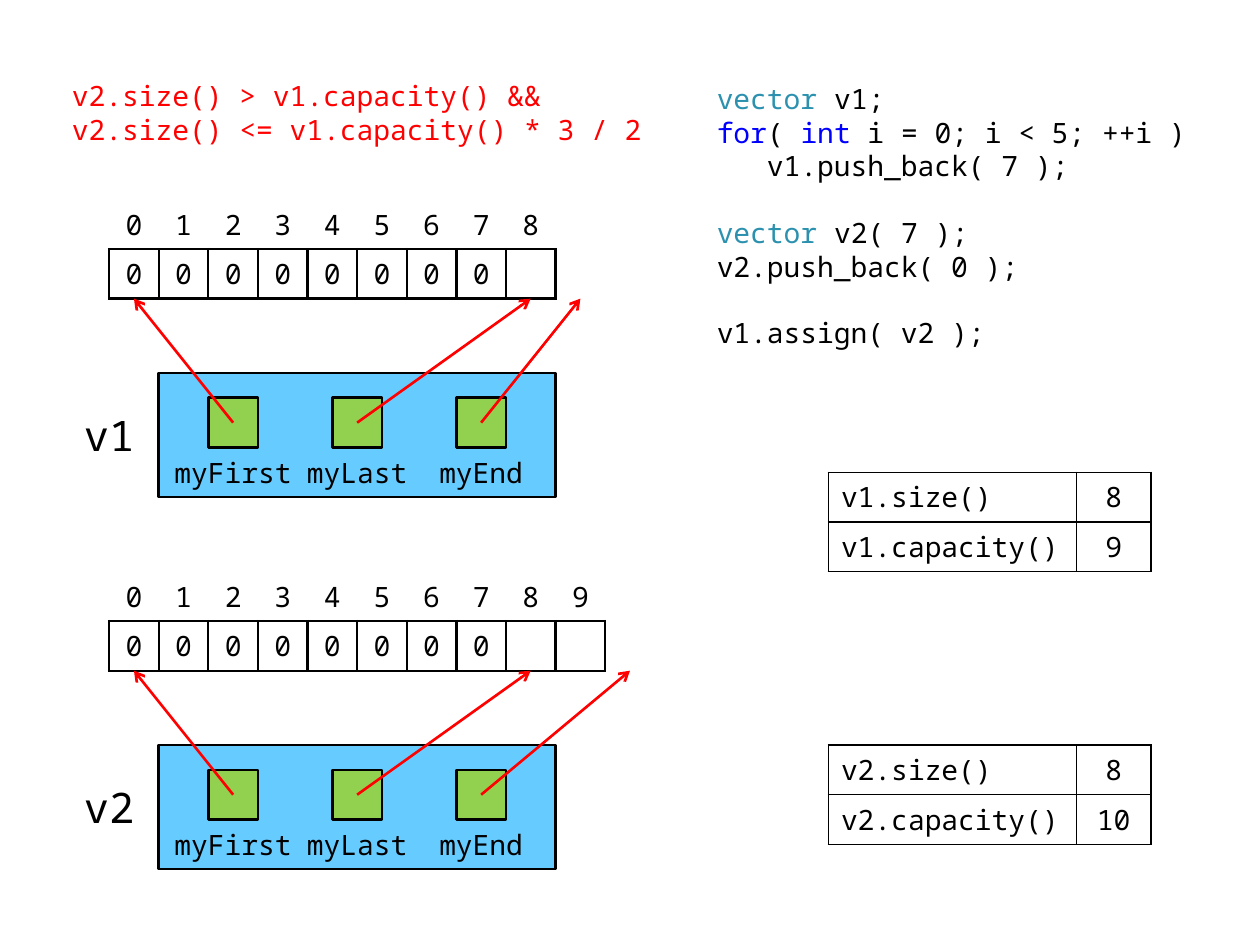
from collections import namedtuple

from pptx import Presentation
from pptx.dml.color import RGBColor
from pptx.enum.shapes import MSO_CONNECTOR as Connector, MSO_SHAPE as Preset
from pptx.enum.text import MSO_ANCHOR as Anchor, PP_ALIGN as Align
from pptx.oxml import parse_xml
from pptx.oxml.ns import nsdecls
from pptx.oxml.xmlchemy import OxmlElement
from pptx.util import Cm, Inches, Pt

BLACK = RGBColor(0x00, 0x00, 0x00)
RED = RGBColor(0xFF, 0x00, 0x00)
BLUE = RGBColor(0x00, 0x00, 0xFF)
TEAL = RGBColor(0x2B, 0x91, 0xAF)
SKY = RGBColor(0x66, 0xCC, 0xFF)
GREEN = RGBColor(0x92, 0xD0, 0x50)

FONT = "Noto Sans Mono"
TEXT_SIZE = 16
NAME_SIZE = 24
CODE_GAP = 19
LINE_WIDTH = 1.5
GRID_LEFT, GRID_TOP = 0.2, 0.02
NO_STYLE = "{2D5ABB26-0587-4C30-8999-92F81FD0307C}"
POINTERS = ("myFirst", "myLast", "myEnd")

Box = namedtuple("Box", "column row columns rows")


def point(column, row):
    return Cm(GRID_LEFT + column), Cm(GRID_TOP + row)


def place(box):
    return *point(box.column, box.row), Cm(box.columns), Cm(box.rows)


def add_span(para, text, color=BLACK, size=TEXT_SIZE):
    span = para.add_run()
    span.text = text
    span.font.name = FONT
    span.font.size = Pt(size)
    span.font.color.rgb = color


def add_text(page, box, lines, anchor=Anchor.MIDDLE, align=Align.LEFT, size=TEXT_SIZE):
    frame = page.shapes.add_textbox(*place(box)).text_frame
    frame.word_wrap = True
    frame.vertical_anchor = anchor
    for index, (gap, spans) in enumerate(lines):
        para = frame.paragraphs[0] if index == 0 else frame.add_paragraph()
        para.alignment = align
        if gap:
            para.space_before = Pt(gap)
        for text, color in spans:
            add_span(para, text, color, size)


def add_block(page, box, preset, fill=None, label=""):
    shape = page.shapes.add_shape(preset, *place(box))
    shape.shadow.inherit = False
    if fill is None:
        shape.fill.background()
        shape.line.fill.background()
    else:
        shape.fill.solid()
        shape.fill.fore_color.rgb = fill
        shape.line.color.rgb = BLACK
        shape.line.width = Pt(LINE_WIDTH)
    if label:
        shape.text_frame.vertical_anchor = Anchor.MIDDLE
        para = shape.text_frame.paragraphs[0]
        para.alignment = Align.CENTER
        add_span(para, label)


def add_arrow(page, start, end):
    arrow = page.shapes.add_connector(Connector.STRAIGHT, *point(*start), *point(*end))
    arrow.line.color.rgb = RED
    arrow.line.width = Pt(LINE_WIDTH)
    tail = OxmlElement("a:tailEnd")
    tail.set("type", "arrow")
    arrow.line._get_or_add_ln().append(tail)
    arrow._element.spPr.append(OxmlElement("a:effectLst"))


def set_borders(cell, sides, width):
    properties = cell._tc.get_or_add_tcPr()
    for side in sides:
        properties.append(parse_xml(
            f'<a:ln{side} {nsdecls("a")} w="{Pt(width)}"><a:solidFill>'
            f'<a:srgbClr val="{BLACK}"/></a:solidFill></a:ln{side}>'))


def add_grid(page, box, widths, rows, margin):
    table = page.shapes.add_table(len(rows), len(widths), *place(box)).table
    table.first_row = table.horz_banding = False
    table._tbl.tblPr.find("{*}tableStyleId").text = NO_STYLE
    for column, width in zip(table.columns, widths):
        column.width = Cm(width)
    for row, (texts, aligns, sides, width) in enumerate(rows):
        table.rows[row].height = Cm(box.rows / len(rows))
        for column, (text, align) in enumerate(zip(texts, aligns)):
            cell = table.cell(row, column)
            cell.margin_left = cell.margin_right = Inches(margin)
            cell.margin_top = cell.margin_bottom = Inches(0.04)
            cell.vertical_anchor = Anchor.MIDDLE
            set_borders(cell, sides, width)
            cell.fill.background()
            para = cell.text_frame.paragraphs[0]
            para.alignment = align
            if text:
                add_span(para, text)


def add_vector(page, box, name, size, capacity):
    left, top = box.column, box.row
    indexes = [str(index) for index in range(capacity)]
    values = ["0"] * size + [""] * (capacity - size)
    centred = [Align.CENTER] * capacity
    add_grid(page, Box(left + 1, top, capacity, 2), [1] * capacity,
             [(indexes, centred, "B", LINE_WIDTH),
              (values, centred, "LRTB", LINE_WIDTH)], 0.06)
    add_text(page, Box(left, top + 4, 2, 1.5), [(0, [(name, BLACK)])],
             align=Align.CENTER, size=NAME_SIZE)
    add_block(page, Box(left + 2, top + 3.5, 8, 2.5), Preset.FLOWCHART_PROCESS, SKY)
    for order, (label, target) in enumerate(zip(POINTERS, (0, size, capacity))):
        column = left + 2 + 2.5 * order
        add_block(page, Box(column, top + 5, 3, 1), Preset.FLOWCHART_PROCESS, label=label)
        add_block(page, Box(column + 1, top + 4, 1, 1), Preset.RECTANGLE, GREEN)
        add_arrow(page, (column + 1.5, top + 4.5), (left + 1.5 + target, top + 2))


def add_facts(page, box, name, size, capacity):
    aligns = [Align.LEFT, Align.CENTER]
    facts = (("size", size), ("capacity", capacity))
    rows = [((f"{name}.{method}()", str(value)), aligns, "LRTB", 1)
            for method, value in facts]
    add_grid(page, box, [5, 1.5], rows, 0.1)


def add_condition(page, box):
    add_text(page, box, [
        (0, [("v2.size() > v1.capacity() &&", RED)]),
        (0, [("v2.size() <= v1.capacity() * 3 / 2", RED)]),
    ])


def add_code(page, box):
    add_text(page, box, [
        (0, [("vector ", TEAL), ("v1;", BLACK)]),
        (0, [("for", BLUE), ("( ", BLACK), ("int", BLUE),
             (" i = 0; i < 5; ++i )", BLACK)]),
        (0, [("   v1.push_back( 7 );", BLACK)]),
        (CODE_GAP, [("vector ", TEAL), ("v2( 7 );", BLACK)]),
        (0, [("v2.push_back( 0 );", BLACK)]),
        (CODE_GAP, [("v1.assign( v2 );", BLACK)]),
    ], anchor=Anchor.TOP)


def main():
    deck = Presentation()
    deck.slide_width, deck.slide_height = Inches(10), Inches(7.5)
    page = deck.slides.add_slide(deck.slide_layouts[6])
    add_condition(page, Box(1, 1.5, 12.5, 1.5))
    add_code(page, Box(14, 1.5, 10, 6))
    for name, size, capacity, vector_row, facts_row in (
            ("v1", 8, 9, 4, 9.5), ("v2", 8, 10, 11.5, 15)):
        add_vector(page, Box(1, vector_row, 12, 6), name, size, capacity)
        add_facts(page, Box(16.5, facts_row, 6.5, 2), name, size, capacity)
    deck.save("out.pptx")


if __name__ == "__main__":
    main()
